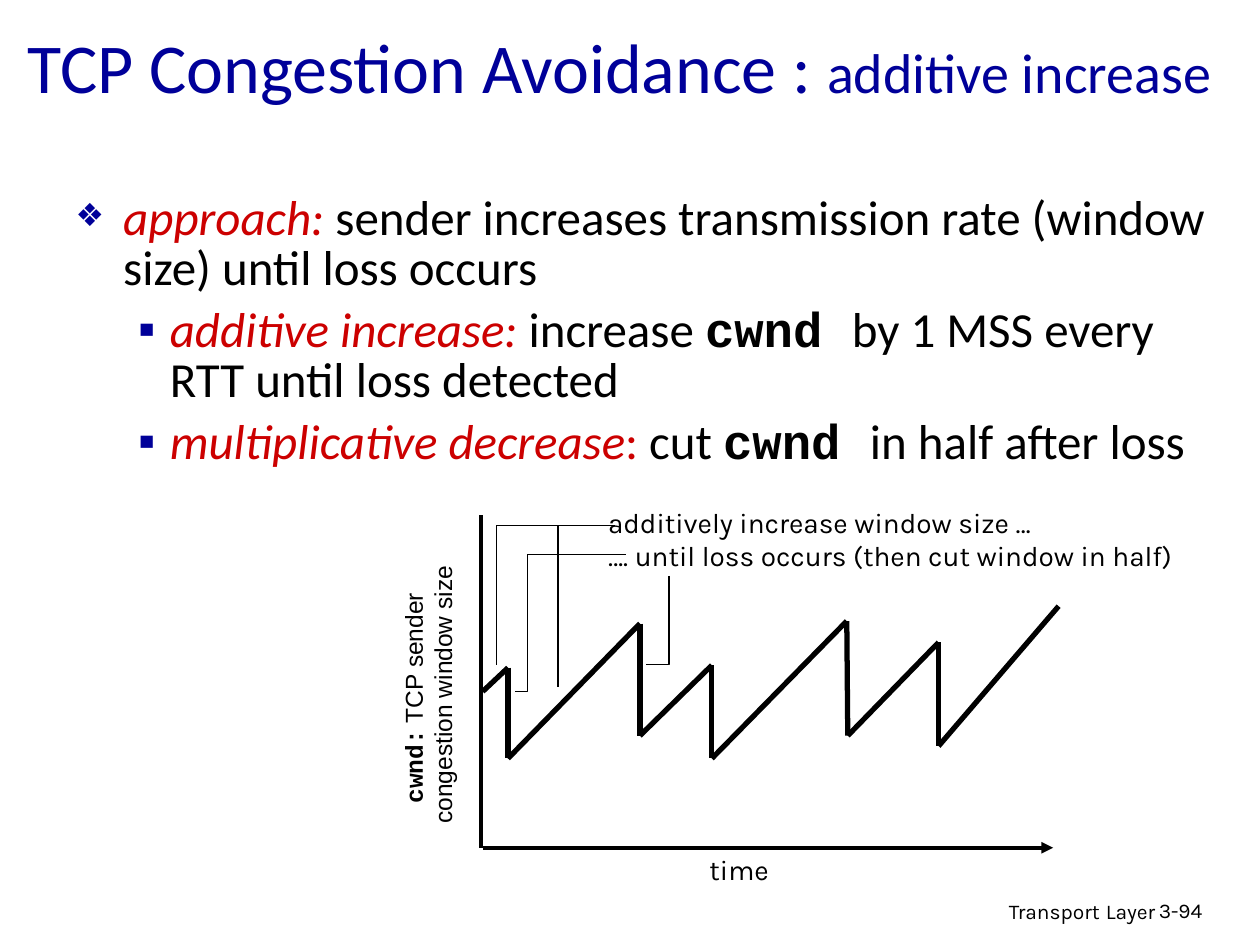
import dataclasses
import itertools
import typing

import lxml.etree
import pptx
import pptx.dml.color
import pptx.enum.shapes
import pptx.enum.text
import pptx.oxml.ns
import pptx.slide
import pptx.util

Cm = pptx.util.Cm
Align = pptx.enum.text.PP_ALIGN
Fit = pptx.enum.text.MSO_AUTO_SIZE
Anchor = pptx.enum.text.MSO_ANCHOR
Point = tuple[float, float]


@dataclasses.dataclass(frozen=True)
class Theme:
    ink: str = "000000"
    blue: str = "000099"
    red: str = "CC0000"
    paper: str = "FFFFFF"
    sans: str = "Calibri"
    label: str = "Karla"
    plain: str = "Arial"
    code: str = "Courier New"
    title: int = 40
    sub: int = 32
    body: int = 28
    note: int = 16
    axis: int = 14
    foot: int = 12


THEME = Theme()


class Box(typing.NamedTuple):
    left: float
    top: float
    width: float
    height: float


class Run(typing.NamedTuple):
    text: str
    form: dict


@dataclasses.dataclass(frozen=True)
class Item:
    level: int
    left: float
    hang: float
    mark: str
    scale: int
    runs: list[Run]


@dataclasses.dataclass(frozen=True)
class Label:
    box: Box
    lines: list[list[Run]]
    align: Align = Align.LEFT
    wrap: bool = False
    turn: float = 0
    fill: str | None = None


def tint(code: str) -> pptx.dml.color.RGBColor:
    return pptx.dml.color.RGBColor.from_string(code)


def write(para, text: str, *, size: int, face: str, color: str = THEME.ink,
          bold: bool = False, italic: bool = False) -> None:
    run = para.add_run()
    run.text = text
    font = run.font
    font.size, font.name = pptx.util.Pt(size), face
    font.bold, font.italic = bold, italic
    font.color.rgb = tint(color)


def place(shape, box: Box) -> None:
    shape.left, shape.top, shape.width, shape.height = map(Cm, box)


def add_tag(parent, name: str, **attrs: str):
    tag = lxml.etree.SubElement(parent, pptx.oxml.ns.qn(name))
    for key, value in attrs.items():
        tag.set(key, value)
    return tag


def fill_para(para, runs: list[Run]) -> None:
    for run in runs:
        write(para, run.text, **run.form)


def next_para(frame, index: int):
    return frame.add_paragraph() if index else frame.paragraphs[0]


def set_title(slide: pptx.slide.Slide) -> None:
    title = slide.shapes.title
    place(title, Box(0.3, 0.64, 25.7, 1.68))
    frame = title.text_frame
    frame.auto_size, frame.vertical_anchor = Fit.NONE, Anchor.MIDDLE
    para = frame.paragraphs[0]
    para.alignment, para.line_spacing = Align.LEFT, 0.8
    form = dict(face=THEME.sans, color=THEME.blue)
    write(para, "TCP Congestion Avoidance : ", size=THEME.title, **form)
    write(para, "additive increase", size=THEME.sub, **form)


def set_list(slide: pptx.slide.Slide, items: list[Item]) -> None:
    body = slide.placeholders[1]
    place(body, Box(1.27, 3.81, 23.27, 4.01))
    frame = body.text_frame
    frame.auto_size, frame.vertical_anchor = Fit.NONE, Anchor.TOP
    for index, item in enumerate(items):
        para = next_para(frame, index)
        para.level = item.level
        props = para._p.get_or_add_pPr()
        props.set("marL", str(Cm(item.left)))
        props.set("indent", str(-Cm(item.hang)))
        add_tag(add_tag(props, "a:buClr"), "a:srgbClr", val=THEME.blue)
        add_tag(props, "a:buSzPct", val=str(item.scale * 1000))
        add_tag(props, "a:buChar", char=item.mark)
        para.line_spacing = 0.85
        para.space_before = pptx.util.Pt(7 if index else 0)
        fill_para(para, item.runs)


def add_label(slide: pptx.slide.Slide, label: Label) -> None:
    shape = slide.shapes.add_textbox(*map(Cm, label.box))
    shape.rotation = label.turn
    if label.fill:
        shape.fill.solid()
        shape.fill.fore_color.rgb = tint(label.fill)
    frame = shape.text_frame
    frame.word_wrap = label.wrap
    frame.auto_size = Fit.NONE if label.wrap else Fit.SHAPE_TO_FIT_TEXT
    for index, runs in enumerate(label.lines):
        para = next_para(frame, index)
        para.alignment = label.align
        fill_para(para, runs)


def add_line(slide: pptx.slide.Slide, start: Point, end: Point,
             width: float, arrow: bool = False) -> None:
    kind = pptx.enum.shapes.MSO_CONNECTOR.STRAIGHT
    line = slide.shapes.add_connector(kind, *map(Cm, start + end))
    line.line.width = pptx.util.Pt(width)
    line.line.color.rgb = tint(THEME.ink)
    props = line.element.spPr
    if arrow:
        add_tag(props.find(pptx.oxml.ns.qn("a:ln")), "a:tailEnd", type="triangle")
    add_tag(props, "a:effectLst")


def add_leader(slide: pptx.slide.Slide, points: list[Point]) -> None:
    """Draw a thin open path from a caption to the curve."""
    first, *rest = [(Cm(x), Cm(y)) for x, y in points]
    build = slide.shapes.build_freeform(*first)
    build.add_line_segments(rest, close=False)
    shape = build.convert_to_shape()
    shape.shadow.inherit = False
    shape.fill.background()
    shape.line.width = pptx.util.Pt(0.75)
    shape.line.color.rgb = tint(THEME.ink)


TEXT = dict(size=THEME.body, face=THEME.sans)
TERM = TEXT | dict(color=THEME.red, italic=True)
CODE = dict(size=THEME.body, face=THEME.code, bold=True)
NOTE = dict(size=THEME.note, face=THEME.label)
FOOT = dict(size=THEME.foot, face=THEME.label)
AXIS = dict(size=THEME.axis, face=THEME.plain)
SUB = dict(level=1, left=1.9, hang=0.64, mark="▪", scale=100)

ITEMS = [
    Item(0, 0.96, 0.96, "❖", 65, [
        Run("approach: ", TERM),
        Run("sender increases transmission rate (window size) until loss occurs", TEXT)]),
    Item(**SUB, runs=[
        Run("additive increase:", TERM), Run(" increase ", TEXT), Run("cwnd ", CODE),
        Run("by 1 MSS every RTT until loss detected", TEXT)]),
    Item(**SUB, runs=[
        Run("multiplicative decrease", TERM), Run(":", TERM | dict(italic=False)),
        Run(" cut ", TEXT), Run("cwnd ", CODE), Run("in half after loss", TEXT)]),
]
LABELS = [
    Label(Box(15.49, 17.91, 8.05, 0.79), [[
        Run("Transport", FOOT), Run(" ", FOOT | dict(size=THEME.axis)),
        Run("Layer", FOOT)]], Align.RIGHT, wrap=True),
    Label(Box(23.11, 17.96, 1.88, 0.76), [[Run("3-94", FOOT)]], wrap=True),
    Label(Box(5.77, 13.28, 5.72, 1.45), [
        [Run("cwnd:", CODE | dict(size=THEME.axis)), Run(" TCP sender ", AXIS)],
        [Run("congestion window size", AXIS)]],
        Align.CENTER, turn=270, fill=THEME.paper),
    Label(Box(12.01, 10.06, 12.14, 1.63), [
        [Run("additively increase window size …", NOTE)],
        [Run("…. until loss occurs (then cut window in half)", NOTE)]]),
    Label(Box(14.05, 17.07, 1.7, 0.94), [[Run("time", NOTE)]], Align.CENTER),
]
SAW = [
    (9.73, 13.94), (10.24, 13.46), (10.24, 15.29), (12.9, 12.57),
    (12.9, 14.83), (14.35, 13.41), (14.35, 15.29), (17.07, 12.52),
    (17.09, 14.83), (18.92, 12.95), (18.92, 15.04), (21.34, 12.22),
]
LEADERS = [
    [(12.4, 10.59), (10.01, 10.59), (10.01, 13.41)],
    [(12.62, 11.18), (10.64, 11.18), (10.64, 13.94), (10.39, 13.94)],
    [(12.4, 10.59), (11.25, 10.59), (11.25, 13.84)],
    [(13.49, 11.61), (13.49, 13.39), (13.03, 13.39)],
]


def main() -> None:
    deck = pptx.Presentation()
    deck.slide_width, deck.slide_height = Cm(25.4), Cm(19.05)
    slide = deck.slides.add_slide(deck.slide_layouts[1])
    set_title(slide)
    set_list(slide, ITEMS)
    for label in LABELS:
        add_label(slide, label)
    add_line(slide, (9.73, 17.09), (21.23, 17.09), 2.25, arrow=True)
    add_line(slide, (9.7, 10.39), (9.7, 17.09), 2.25)
    for start, end in itertools.pairwise(SAW):
        add_line(slide, start, end, 3)
    for points in LEADERS:
        add_leader(slide, points)
    deck.save("out.pptx")


if __name__ == "__main__":
    main()
